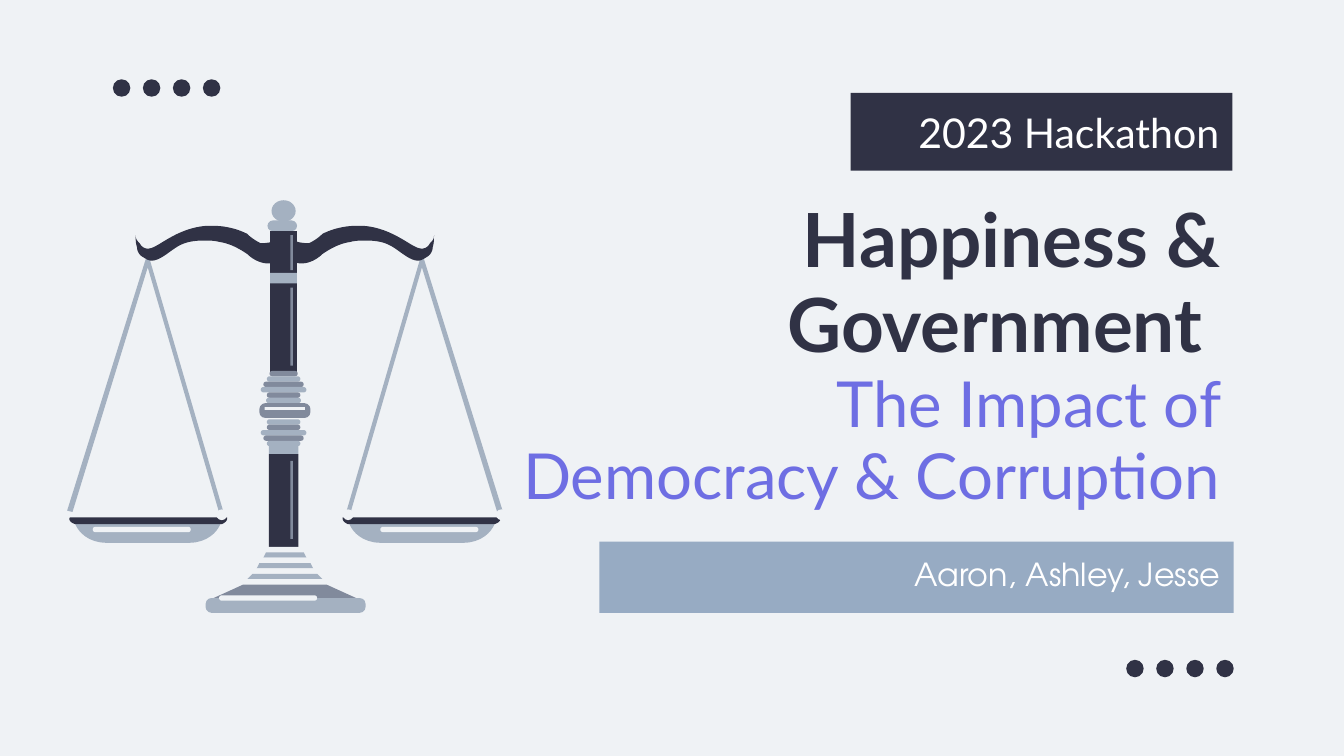
from dataclasses import dataclass

from pptx import Presentation
from pptx.dml.color import RGBColor
from pptx.enum.shapes import MSO_SHAPE
from pptx.enum.text import MSO_ANCHOR, MSO_AUTO_SIZE, PP_ALIGN
from pptx.util import Inches, Pt


@dataclass(frozen=True)
class Theme:
    paper: str = "EFF2F5"
    ink: str = "303245"
    accent: str = "6E6EE3"
    band: str = "97ABC3"
    silver: str = "A4B1C1"
    steel: str = "818A9C"
    white: str = "FFFFFF"
    font: str = "Lato"
    names_font: str = "TeX Gyre Adventor"
    title: int = 40
    subtitle: int = 34
    event: int = 22
    names: int = 17


POST_X = 2.11    # centre line of the post
MIRROR_X = 2.12  # axis between the two arms

# Left arm outlines: 2 numbers are a corner, 6 numbers are a cubic curve.
CORDS = [(1.1, 1.88), (0.5, 3.8), (0.54, 3.81), (1.1, 1.99),
         (1.63, 3.81), (1.66, 3.8)]
BEAM = [(1.58, 1.68), (1.57, 1.68, 1.56, 1.68, 1.54, 1.68),
        (1.4, 1.69, 1.29, 1.75, 1.18, 1.82),
        (1.16, 1.83, 1.13, 1.85, 1.1, 1.85),
        (1.07, 1.85, 1.05, 1.83, 1.04, 1.81),
        (1.02, 1.79, 1.01, 1.78, 1.01, 1.75),
        (1.01, 1.78, 1.01, 1.81, 1.02, 1.84),
        (1.02, 1.87, 1.04, 1.9, 1.06, 1.91),
        (1.09, 1.93, 1.11, 1.94, 1.13, 1.94),
        (1.2, 1.94, 1.28, 1.85, 1.35, 1.82),
        (1.39, 1.8, 1.45, 1.79, 1.51, 1.79),
        (1.55, 1.79, 1.6, 1.79, 1.63, 1.8),
        (1.71, 1.81, 1.78, 1.85, 1.84, 1.89),
        (1.88, 1.93, 1.94, 1.96, 1.99, 1.96),
        (2.01, 1.96, 2.03, 1.96, 2.04, 1.95),
        (2.04, 1.79), (2.04, 1.8, 1.99, 1.81, 1.94, 1.81),
        (1.9, 1.79, 1.87, 1.77, 1.84, 1.74),
        (1.76, 1.7, 1.67, 1.68, 1.58, 1.68)]
PAN = [(0.56, 3.9), (0.56, 3.9, 0.61, 4.04, 0.8, 4.04),
       (1.4, 4.04), (1.59, 4.04, 1.64, 3.9, 1.64, 3.9)]
RIM = [(0.52, 3.85), (0.52, 3.85, 0.5, 3.88, 0.56, 3.9),
       (1.65, 3.9), (1.7, 3.88, 1.69, 3.85, 1.69, 3.85)]


def mirrored(outline):
    return [tuple(round(2 * MIRROR_X - v, 2) if i % 2 == 0 else v
                  for i, v in enumerate(seg)) for seg in outline]


def flatten(outline, steps=10):
    """Turn corners and cubic curves into a plain list of points."""
    points = []
    for seg in outline:
        if len(seg) == 2:
            points.append(seg)
            continue
        (x0, y0), (x1, y1, x2, y2, x3, y3) = points[-1], seg
        for i in range(1, steps + 1):
            t = i / steps
            u = 1 - t
            a, b, c, d = u**3, 3 * u * u * t, 3 * u * t * t, t**3
            points.append((a * x0 + b * x1 + c * x2 + d * x3,
                           a * y0 + b * y1 + c * y2 + d * y3))
    return points


class Deck:
    def __init__(self, theme):
        self.theme = theme
        self.prs = Presentation()
        self.prs.slide_width = Inches(10)
        self.prs.slide_height = Inches(10) * 9 // 16
        self.s = self.prs.slides.add_slide(self.prs.slide_layouts[0])
        self.paint(self.s.background, theme.paper)
        self.shapes = self.s.shapes

    def paint(self, item, color):
        item.fill.solid()
        item.fill.fore_color.rgb = RGBColor.from_string(color)

    def finish(self, sp, color):
        self.paint(sp, color)
        sp.line.fill.background()
        sp.shadow.inherit = False
        return sp

    def place(self, sp, x, y, w, h):
        sp.left, sp.top, sp.width, sp.height = map(Inches, (x, y, w, h))

    def shape(self, kind, x, y, w, h, color):
        sp = self.shapes.add_shape(kind, *map(Inches, (x, y, w, h)))
        return self.finish(sp, color)

    def rect(self, x, y, w, h, color):
        return self.shape(MSO_SHAPE.RECTANGLE, x, y, w, h, color)

    def oval(self, x, y, w, h, color):
        return self.shape(MSO_SHAPE.OVAL, x, y, w, h, color)

    def pill(self, x, y, w, h, color, rounding=0.5):
        sp = self.shape(MSO_SHAPE.ROUNDED_RECTANGLE, x, y, w, h, color)
        sp.adjustments[0] = rounding

    def outline(self, outline, color):
        start, *rest = [(Inches(x), Inches(y)) for x, y in flatten(outline)]
        builder = self.shapes.build_freeform(*start)
        builder.add_line_segments(rest, close=True)
        self.finish(builder.convert_to_shape(), color)

    def trapezoid(self, center, y, h, half_top, half_bottom, color):
        self.outline([(center - half_top, y), (center - half_bottom, y + h),
                      (center + half_bottom, y + h), (center + half_top, y)], color)

    def dots(self, x, y):
        for i in range(4):
            self.oval(x + 0.67 * i / 3, y, 0.13, 0.13, self.theme.ink)

    def text(self, sp, lines, anchor=MSO_ANCHOR.MIDDLE, spacing=1.0):
        """Fill a shape with (text, font, size, color, bold) paragraphs."""
        tf = sp.text_frame
        tf.word_wrap, tf.auto_size = True, MSO_AUTO_SIZE.NONE
        tf.vertical_anchor = anchor
        tf.margin_left = tf.margin_right = Inches(0.1)
        tf.margin_top = tf.margin_bottom = Inches(0.1)
        for i, (text, font, size, color, bold) in enumerate(lines):
            p = tf.add_paragraph() if i else tf.paragraphs[0]
            p.text = text
            p.alignment, p.line_spacing = PP_ALIGN.RIGHT, spacing
            p.space_before = Pt(0)
            p.font.name, p.font.size, p.font.bold = font, Pt(size), bold
            p.font.color.rgb = RGBColor.from_string(color)

    def scales(self):
        t = self.theme
        self.shapes = self.s.shapes.add_group_shape().shapes
        for side in (list, mirrored):
            self.outline(side(CORDS), t.silver)
            self.outline(side(BEAM), t.ink)
            self.outline(side(PAN), t.silver)
            self.outline(side(RIM), t.ink)
        for x in (1.61, 2.55, 3.69):
            self.oval(x, 3.79, 0.08, 0.08, t.paper)
        for x in (0.69, 2.83):
            self.pill(x, 3.92, 0.73, 0.04, t.paper)

        # Post: finial, shafts, bands and their highlights
        self.oval(2.02, 1.49, 0.18, 0.16, t.silver)
        self.pill(1.99, 1.64, 0.22, 0.08, t.silver)
        for y, w, h, color in ((1.72, 0.2, 0.31, t.ink), (2.03, 0.2, 0.09, t.silver),
                               (2.11, 0.2, 0.67, t.ink), (3.32, 0.22, 0.06, t.silver),
                               (3.38, 0.22, 0.69, t.ink)):
            self.rect(POST_X - w / 2, y, w, h, color)
        for y, h in ((1.75, 0.26), (2.14, 0.58), (3.43, 0.58)):
            self.rect(2.16, y, 0.02, h, t.steel)

        # Collar: alternating rings above and below the knob
        upper = [0.21, 0.25, 0.3, 0.34, 0.25, 0.26]
        lower = [0.25, 0.25, 0.34, 0.3, 0.25]
        for top, widths, colors in ((2.76, upper, (t.steel, t.silver)),
                                    (3.12, lower, (t.silver, t.steel))):
            for i, w in enumerate(widths):
                self.pill(POST_X - w / 2, top + 0.04 * i, w, 0.04, colors[i % 2])
        self.pill(1.93, 3.0, 0.38, 0.11, t.steel, 0.4)
        self.rect(1.97, 3.03, 0.3, 0.02, t.paper)

        # Base: widening steps, foot and slab
        halves = [0.13, 0.14, 0.16, 0.19, 0.21, 0.24, 0.28, 0.31]
        for i, (top, bottom) in enumerate(zip(halves, halves[1:])):
            self.trapezoid(MIRROR_X, 4.07 + 0.04 * i, 0.04, top, bottom,
                           (t.paper, t.silver)[i % 2])
        self.trapezoid(MIRROR_X, 4.35, 0.1, 0.31, 0.53, t.steel)
        self.pill(1.53, 4.45, 1.19, 0.11, t.silver, 0.4)
        self.pill(1.63, 4.43, 0.73, 0.04, t.paper)
        self.shapes = self.s.shapes


def main():
    t = Theme()
    deck = Deck(t)
    title, names = deck.s.placeholders
    deck.dots(8.38, 4.91)
    deck.dots(0.84, 0.59)

    deck.place(title, 3.68, 1.41, 5.5, 2.49)
    deck.text(title, [
        ("Happiness & Government ", t.font, t.title, t.ink, True),
        ("The Impact of Democracy & Corruption", t.font, t.subtitle, t.accent, False),
    ], spacing=0.95)

    event = deck.rect(6.33, 0.69, 2.84, 0.58, t.ink)
    deck.text(event, [("2023 Hackathon", t.font, t.event, t.white, False)])

    deck.place(names, 4.46, 4.03, 4.72, 0.53)
    deck.paint(names, t.band)
    deck.text(names, [("Aaron, Ashley, Jesse", t.names_font, t.names, t.white, False)],
              anchor=MSO_ANCHOR.TOP)

    deck.scales()
    deck.prs.save("out.pptx")


if __name__ == "__main__":
    main()
